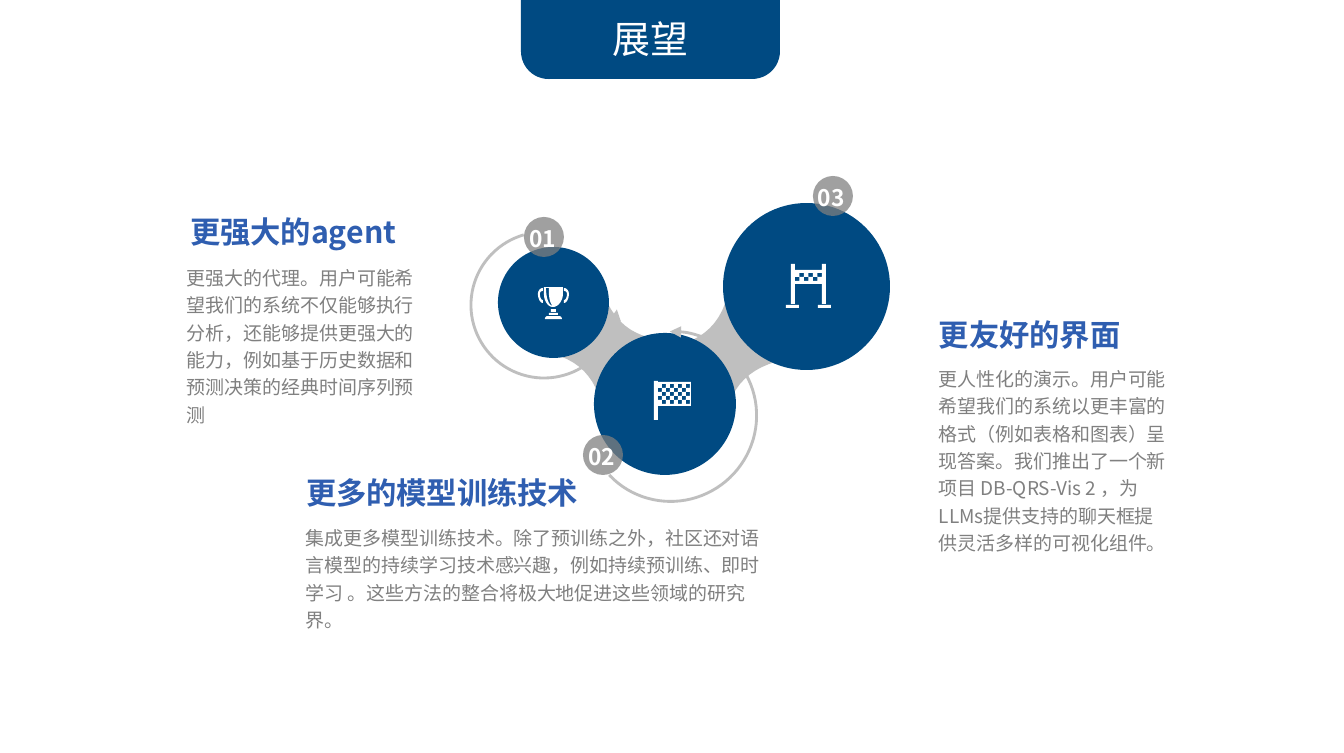
from lxml.etree import SubElement
from pptx import Presentation
from pptx.dml.color import RGBColor
from pptx.enum.shapes import MSO_SHAPE as SHAPE
from pptx.enum.text import MSO_ANCHOR as ANCHOR, PP_ALIGN as ALIGN
from pptx.oxml.ns import qn
from pptx.util import Pt

SCALE = 914400 / 136.6
FONT = "Noto Sans CJK SC"
NAVY, BLUE, WHITE = "004A82", "2F5EB0", "FFFFFF"
SILVER, BADGE, BODY = "BFBFBF", "7F7F7F", "808080"

HEADER = ("展望", (521, 0, 259, 79), (521, 11, 259, 56))
SECTIONS = [
    ("更强大的agent", (180, 208, 264, 46),
     "更强大的代理。用户可能希望我们的系统不仅能够执行分析，还能够提供更强大的能力，"
     "例如基于历史数据和预测决策的经典时间序列预测", (177, 257, 254, 173)),
    ("更多的模型训练技术", (296, 469, 298, 46),
     "集成更多模型训练技术。除了预训练之外，社区还对语言模型的持续学习技术感兴趣，"
     "例如持续预训练、即时学习 。这些方法的整合将极大地促进这些领域的研究界。",
     (296, 517, 474, 119)),
    ("更友好的界面", (929, 311, 251, 46),
     "更人性化的演示。用户可能希望我们的系统以更丰富的格式（例如表格和图表）呈现答案。"
     "我们推出了一个新项目 DB-QRS-Vis 2 ，为LLMs提供支持的聊天框提供灵活多样的可视化组件。",
     (929, 358, 251, 201)),
]
CIRCLES = [(498, 247, 111, 111), (594, 333, 142, 142), (723, 203, 167, 167)]
BADGES = [("01", 524, 217), ("02", 583, 435), ("03", 813, 176)]
BADGE_SIZE = 40
ARCS = [((471, 232, 146, 146), 253.9, (109.56, 0)),
        ((586, 332, 171, 169), 136.3, (132.45, 0.57))]

BRIDGES = [
    [(728, 294), (787, 359), (747, 367, 734, 387, 725, 413),
     (668, 347), (694, 343, 719, 331, 728, 294)],
    [(542, 352), (601, 287), (613, 324, 634, 336, 661, 340),
     (602, 406), (596, 381, 581, 357, 542, 352)],
]

CUP_AXIS = 1107
HANDLE = [(564, 303), (567, 303, 569, 298, 569, 294), (569, 291, 567, 288, 564, 288),
          (564, 291), (566, 291, 567, 292, 567, 294), (567, 297, 566, 300, 564, 300)]
CUP = [(544, 287), (563, 287), (563, 294), (563, 301, 558, 307, 553, 307),
       (548, 307, 544, 301, 544, 294)]
GLINT = [(549, 288), (546, 288), (546, 288, 546, 305, 553, 306),
         (548, 302, 549, 288, 549, 288)]
PLINTH = [(545, 319), (545, 319, 545, 316, 548, 316), (559, 316),
          (562, 316, 562, 319, 562, 319)]


def px(n):
    return round(n * SCALE)


def rgb(value):
    return RGBColor.from_string(value)


def rect(x, y, w, h):
    return [(x, y), (x + w, y), (x + w, y + h), (x, y + h)]


def checks(x, y, w, h, cols, rows):
    cw, ch = w / cols, h / rows
    return [rect(x + c * cw, y + r * ch, cw, ch)
            for r in range(rows) for c in range(cols) if (r + c) % 2 == 0]


def mirror(outline):
    return [tuple(CUP_AXIS - v if i % 2 == 0 else v for i, v in enumerate(seg))
            for seg in outline]


def flatten(outline, steps=12):
    pts = []
    for seg in outline:
        if len(seg) == 2:
            pts.append(seg)
            continue
        curve = [pts[-1], seg[:2], seg[2:4], seg[4:]]
        for i in range(1, steps + 1):
            t = i / steps
            weights = ((1 - t) ** 3, 3 * t * (1 - t) ** 2, 3 * t * t * (1 - t), t ** 3)
            pts.append(tuple(sum(w * p[k] for w, p in zip(weights, curve)) for k in (0, 1)))
    return [(px(x), px(y)) for x, y in pts]


def paint(sp, color):
    sp.shadow.inherit = False
    sp.fill.solid()
    sp.fill.fore_color.rgb = rgb(color)
    sp.line.fill.background()


def add_outline(shapes, outlines, color):
    paths = [flatten(o) for o in outlines]
    fb = shapes.build_freeform(*paths[0][0], scale=1.0)
    for i, pts in enumerate(paths):
        if i:
            fb.move_to(*pts[0])
        fb.add_line_segments(pts[1:], close=True)
    paint(fb.convert_to_shape(), color)


def add_preset(shapes, kind, box, color):
    sp = shapes.add_shape(kind, *map(px, box))
    paint(sp, color)
    return sp


def add_arc(shapes, box, rotation, angles):
    sp = shapes.add_shape(SHAPE.ARC, *map(px, box))
    sp.shadow.inherit = False
    sp.rotation = rotation
    for i, angle in enumerate(angles):
        sp.adjustments[i] = angle * 0.6
    sp.fill.background()
    sp.line.color.rgb = rgb(SILVER)
    sp.line.width = Pt(1.5)
    SubElement(sp.line._get_or_add_ln(), qn("a:headEnd"), type="triangle")


def add_text(shapes, text, box, size, color, bold=False, spacing=None,
             align=ALIGN.LEFT, anchor=ANCHOR.TOP, wrap=True):
    tf = shapes.add_textbox(*map(px, box)).text_frame
    tf.word_wrap = wrap
    tf.vertical_anchor = anchor
    tf.margin_left = tf.margin_right = px(10)
    tf.margin_top = tf.margin_bottom = px(5)
    p = tf.paragraphs[0]
    p.text = text
    p.alignment = align
    if spacing:
        p.line_spacing = spacing
    f = p.runs[0].font
    f.size, f.bold, f.name = Pt(size), bold, FONT
    f.color.rgb = rgb(color)
    SubElement(f._element, qn("a:ea"), typeface=FONT)


def main():
    prs = Presentation()
    prs.slide_width, prs.slide_height = px(1344), px(753)
    shapes = prs.slides.add_slide(prs.slide_layouts[6]).shapes

    title, tab_box, title_box = HEADER
    tab = add_preset(shapes, SHAPE.ROUND_2_SAME_RECTANGLE, tab_box, NAVY)
    tab.adjustments[0], tab.adjustments[1] = 0, 0.35

    for bridge in BRIDGES:
        add_outline(shapes, [bridge], SILVER)

    trophy = [CUP, GLINT, HANDLE, mirror(HANDLE), rect(551, 309, 5, 3),
              rect(549, 313, 9, 2), PLINTH]
    flag = [rect(654, 381, 4, 39), rect(658, 382, 33, 2), rect(658, 404, 33, 2),
            rect(690, 384, 1, 20)] + checks(658, 384, 32, 20, 8, 5)
    gate = [rect(x, 264, 4, 40) for x in (791, 822)]
    gate += [rect(x, 305, 13, 3) for x in (786, 818)]
    gate += [rect(795, y, 27, 3) for y in (270, 281)]
    gate += checks(795, 273, 27, 8, 6, 2)
    for circle, icon in zip(CIRCLES, (trophy, flag, gate)):
        add_preset(shapes, SHAPE.OVAL, circle, NAVY)
        add_outline(shapes, icon, WHITE)

    for arc in ARCS:
        add_arc(shapes, *arc)

    for number, x, y in BADGES:
        sp = add_preset(shapes, SHAPE.OVAL, (x, y, BADGE_SIZE, BADGE_SIZE), BADGE)
        fill = sp.fill._xPr.find(qn("a:solidFill"))
        SubElement(fill[0], qn("a:alpha"), val="74000")
        add_text(shapes, number, (x - 5, y + 1, 49, BADGE_SIZE), 12, WHITE, bold=True,
                 anchor=ANCHOR.MIDDLE, wrap=False)

    for heading, heading_box, body, body_box in SECTIONS:
        add_text(shapes, heading, heading_box, 16, BLUE, bold=True)
        add_text(shapes, body, body_box, 10, BODY, spacing=1.2)
    add_text(shapes, title, title_box, 20, WHITE, align=ALIGN.CENTER)

    prs.save("out.pptx")


if __name__ == "__main__":
    main()
